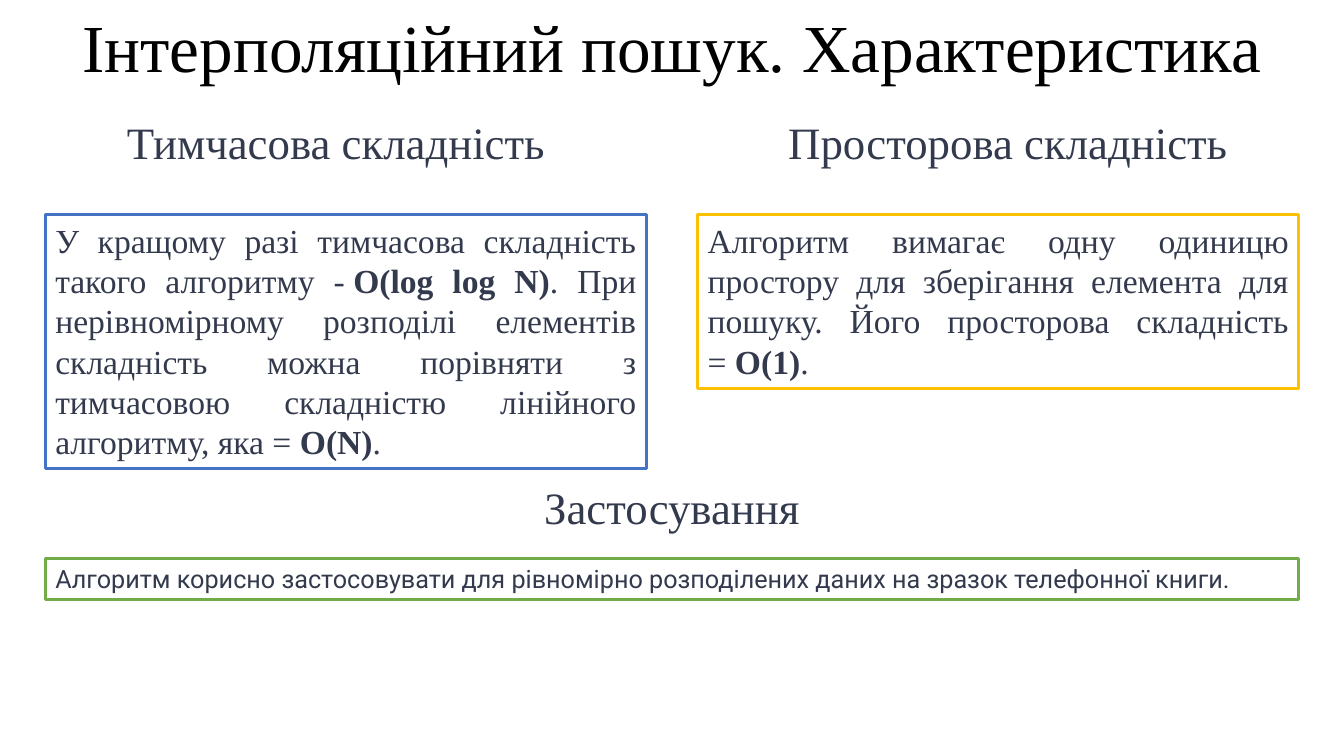
import pptx
import pptx.dml.color
import pptx.enum.shapes
import pptx.enum.text
import pptx.util

Pt = pptx.util.Pt
RGBColor = pptx.dml.color.RGBColor
ALIGN = pptx.enum.text.PP_ALIGN
ANCHOR = pptx.enum.text.MSO_ANCHOR

BLACK = RGBColor(0x00, 0x00, 0x00)
INK = RGBColor(0x33, 0x3A, 0x4D)
BLUE = RGBColor(0x44, 0x72, 0xC4)
GOLD = RGBColor(0xFF, 0xC0, 0x00)
GREEN = RGBColor(0x70, 0xAD, 0x47)
SERIF, SANS = "Times New Roman", "Roboto"

# Content: each text is a list of (words, bold) runs
TITLE = [("Інтерполяційний пошук. Характеристика", False)]
TIME = [
    ("У кращому разі тимчасова складність такого алгоритму -\u00a0", False),
    ("O(log log N)", True),
    (". При нерівномірному розподілі елементів складність можна порівняти "
     "з тимчасовою складністю лінійного алгоритму, яка =\u00a0", False),
    ("O(N)", True),
    (".", False),
]
SPACE = [
    ("Алгоритм вимагає одну одиницю простору для зберігання елемента "
     "для пошуку. Його просторова складність =\u00a0", False),
    ("O(1)", True),
    (".", False),
]
USAGE = [("Алгоритм корисно застосовувати для рівномірно розподілених даних "
          "на зразок телефонної книги.", False)]

# Layout
WIDTH, HEIGHT = 960, 540
MARGIN = 32.4
BOX_WIDTH = 429.2
FULL_WIDTH = WIDTH - 2 * MARGIN
RIGHT_BOX = WIDTH - MARGIN - BOX_WIDTH
HEADING_TOP, BOX_TOP, USAGE_TOP = 78.5, 153.4, 339
HEADING_HEIGHT = 46

HEADINGS = [
    ("Тимчасова складність", 0, HEADING_TOP, WIDTH / 2),
    ("Просторова складність", WIDTH / 2, HEADING_TOP, WIDTH / 2),
    ("Застосування", 0, USAGE_TOP, WIDTH),
]
BOXES = [
    (TIME, (MARGIN, BOX_TOP, BOX_WIDTH, 181.5), BLUE, SERIF, 24),
    (SPACE, (RIGHT_BOX, BOX_TOP, BOX_WIDTH, 124), GOLD, SERIF, 24),
    (USAGE, (MARGIN, 399, FULL_WIDTH, 29), GREEN, SANS, 18),
]


def write_text(shape, runs, size, font=SERIF, color=INK,
               align=ALIGN.CENTER, anchor=ANCHOR.TOP):
    frame = shape.text_frame
    frame.word_wrap = True
    frame.auto_size = pptx.enum.text.MSO_AUTO_SIZE.NONE
    frame.vertical_anchor = anchor
    paragraph = frame.paragraphs[0]
    paragraph.alignment = align
    for words, bold in runs:
        run = paragraph.add_run()
        run.text = words
        run.font.name = font
        run.font.size = Pt(size)
        run.font.bold = bold
        run.font.color.rgb = color


presentation = pptx.Presentation()
presentation.slide_width, presentation.slide_height = Pt(WIDTH), Pt(HEIGHT)
slide = presentation.slides.add_slide(
    presentation.slide_layouts.get_by_name("Title Only"))

# Title
title = slide.shapes.title
title.left, title.top, title.width, title.height = Pt(0), Pt(0), Pt(WIDTH), Pt(65.5)
write_text(title, TITLE, 48, color=BLACK)

# Section headings
for words, left, top, width in HEADINGS:
    heading = slide.shapes.add_textbox(
        Pt(left), Pt(top), Pt(width), Pt(HEADING_HEIGHT))
    write_text(heading, [(words, False)], 32)

# Framed explanations
for runs, place, color, font, size in BOXES:
    box = slide.shapes.add_shape(
        pptx.enum.shapes.MSO_SHAPE.RECTANGLE, *map(Pt, place))
    box.shadow.inherit = False
    box.fill.background()
    box.line.color.rgb = color
    box.line.width = Pt(2.25)
    write_text(box, runs, size, font=font, align=ALIGN.JUSTIFY)

presentation.save("out.pptx")
